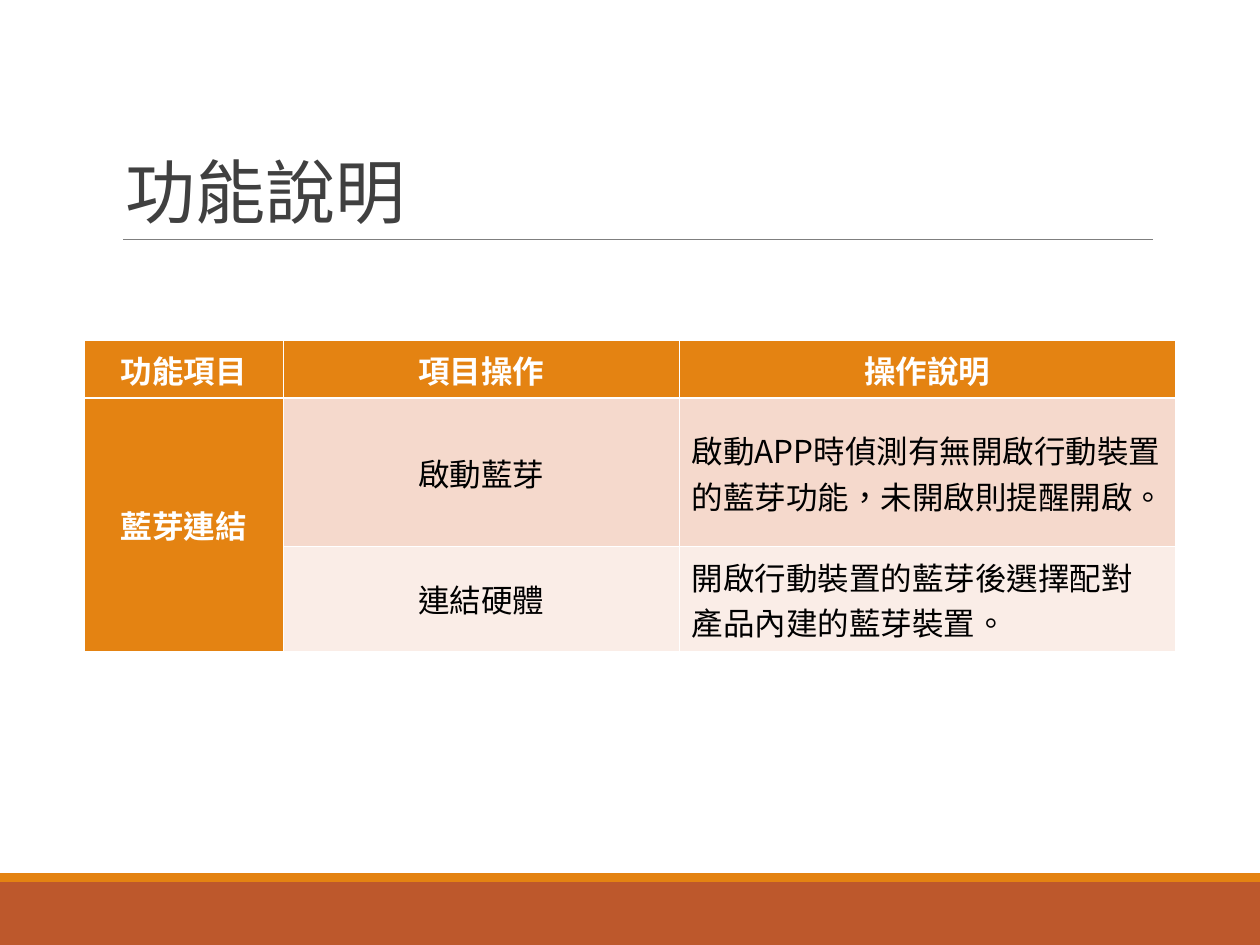
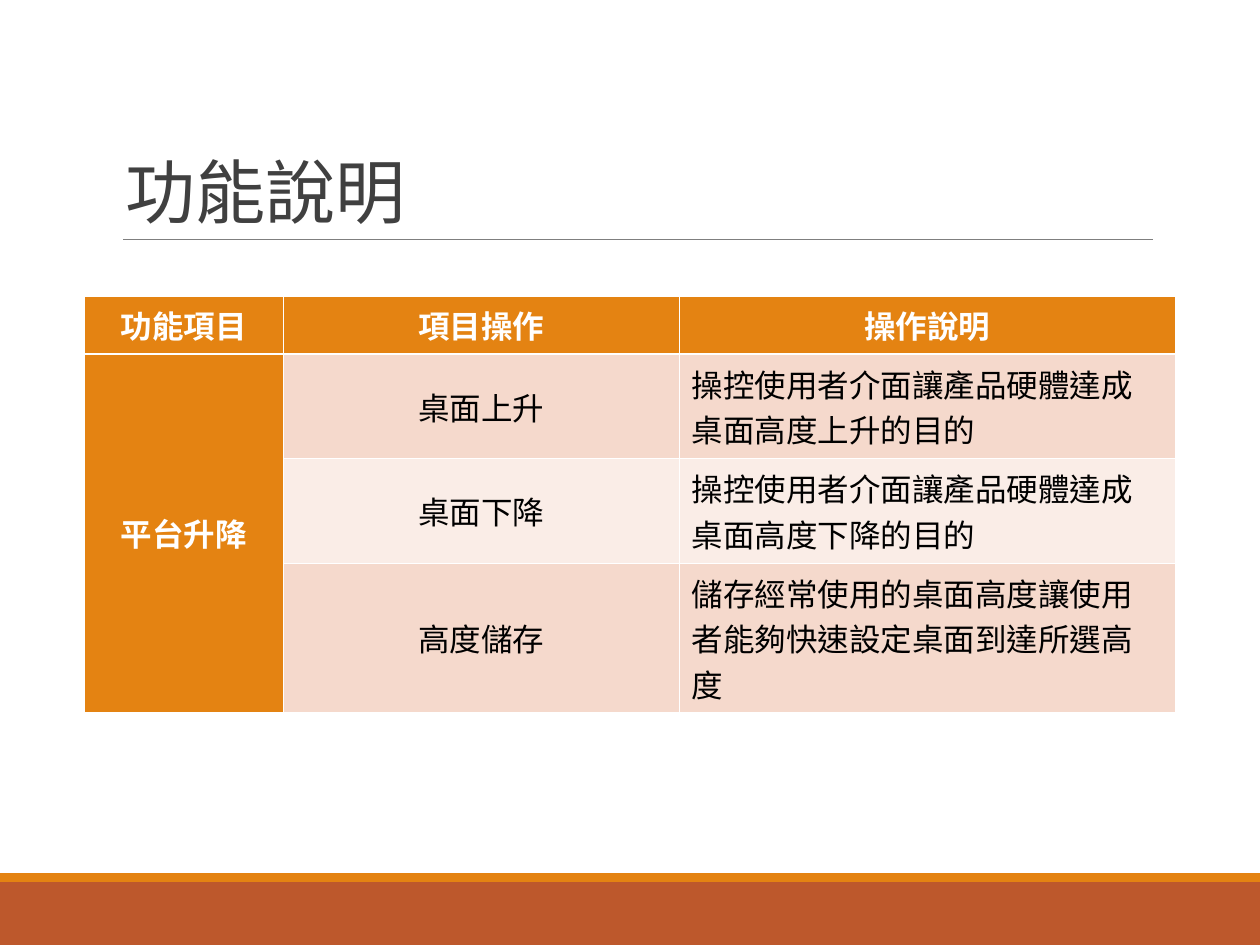
from dataclasses import dataclass

from lxml import etree
from pptx import Presentation
from pptx.dml.color import RGBColor
from pptx.enum.shapes import MSO_CONNECTOR, MSO_SHAPE
from pptx.enum.text import MSO_ANCHOR, PP_ALIGN
from pptx.oxml.ns import qn
from pptx.slide import Slide
from pptx.table import _Cell
from pptx.text.text import _Run
from pptx.util import Inches, Pt

RECTANGLE = MSO_SHAPE.RECTANGLE
STRAIGHT = MSO_CONNECTOR.STRAIGHT
MIDDLE, BOTTOM = MSO_ANCHOR.MIDDLE, MSO_ANCHOR.BOTTOM
LEFT, CENTER = PP_ALIGN.LEFT, PP_ALIGN.CENTER

WHITE = RGBColor(0xFF, 0xFF, 0xFF)
BLACK = RGBColor(0x00, 0x00, 0x00)
TITLE_GRAY = RGBColor(0x40, 0x40, 0x40)
RULE_GRAY = RGBColor(0x7F, 0x7F, 0x7F)
ORANGE = RGBColor(0xE4, 0x83, 0x12)
RUST = RGBColor(0xBD, 0x58, 0x2C)
DARK_BAND = RGBColor(0xF5, 0xD9, 0xCC)
LIGHT_BAND = RGBColor(0xFA, 0xED, 0xE7)

TITLE_FONT = "Calibri"
CHINESE_FONT = "Noto Sans CJK SC"
TITLE = "功能說明"
HEADINGS = ("功能項目", "項目操作", "操作說明")
COLUMN_WIDTHS = (1.58, 3.14, 3.94)
HEADER_HEIGHT, TWO_LINES, THREE_LINES = 0.46, 0.83, 1.18
THIN, THICK = Pt(0.45), Pt(1.47)


@dataclass(frozen=True)
class Band:
    top: float
    height: float
    color: RGBColor


@dataclass(frozen=True)
class Operation:
    name: str
    description: str
    height: float


@dataclass(frozen=True)
class Feature:
    name: str
    table_top: float
    operations: tuple[Operation, ...]


BANDS = (Band(7, 0.5, RUST), Band(6.93, 0.07, ORANGE))

FEATURES = (
    Feature("藍芽連結", 2.7, (
        Operation("啟動藍芽", "啟動APP時偵測有無開啟行動裝置的藍芽功能，未開啟則提醒開啟。", THREE_LINES),
        Operation("連結硬體", "開啟行動裝置的藍芽後選擇配對產品內建的藍芽裝置。", TWO_LINES),
    )),
    Feature("平台升降", 2.35, (
        Operation("桌面上升", "操控使用者介面讓產品硬體達成桌面高度上升的目的", TWO_LINES),
        Operation("桌面下降", "操控使用者介面讓產品硬體達成桌面高度下降的目的", TWO_LINES),
        Operation("高度儲存", "儲存經常使用的桌面高度讓使用者能夠快速設定桌面到達所選高度", THREE_LINES),
    )),
)


def format_span(span: _Run, latin: str, size: float, color: RGBColor, bold: bool = False) -> None:
    span.font.name = latin
    span.font.size = Pt(size)
    span.font.bold = bold
    span.font.color.rgb = color
    properties = span.font._element
    properties.set("lang", "zh-TW")
    east_asian = etree.Element(qn("a:ea"), typeface=CHINESE_FONT)
    properties.find(qn("a:latin")).addnext(east_asian)


def draw_frame(page: Slide) -> None:
    for band in BANDS:
        bar = page.shapes.add_shape(
            RECTANGLE, 0, Inches(band.top), Inches(10), Inches(band.height))
        bar.shadow.inherit = False
        bar.fill.solid()
        bar.fill.fore_color.rgb = band.color
        bar.line.fill.background()
    rule = page.shapes.add_connector(
        STRAIGHT, Inches(0.98), Inches(1.9), Inches(9.15), Inches(1.9))
    rule.line.color.rgb = RULE_GRAY
    rule.line.width = Pt(0.5)
    etree.SubElement(rule._element.spPr, qn("a:effectLst"))


def draw_title(page: Slide) -> None:
    box = page.shapes.add_textbox(Inches(0.9), Inches(0.31), Inches(8.25), Inches(1.59))
    frame = box.text_frame
    frame.text = TITLE
    frame.word_wrap = True
    frame.vertical_anchor = BOTTOM
    para = frame.paragraphs[0]
    para.line_spacing = 0.85
    format_span(para.runs[0], TITLE_FONT, 40, TITLE_GRAY)


def set_borders(cell: _Cell, top: int, bottom: int) -> None:
    properties = cell._tc.get_or_add_tcPr()
    for side, width in (("lnL", THIN), ("lnR", THIN), ("lnT", top), ("lnB", bottom)):
        border = etree.SubElement(properties, qn(f"a:{side}"), w=str(width))
        fill = etree.SubElement(border, qn("a:solidFill"))
        etree.SubElement(fill, qn("a:srgbClr"), val=str(WHITE))


def style_cell(cell: _Cell, row: int, column: int) -> None:
    emphasized = row == 0 or column == 0
    set_borders(cell, THICK if row == 1 else THIN, THICK if row == 0 else THIN)
    cell.fill.solid()
    cell.fill.fore_color.rgb = ORANGE if emphasized else DARK_BAND if row % 2 else LIGHT_BAND
    cell.vertical_anchor = MIDDLE
    for para in cell.text_frame.paragraphs:
        para.alignment = LEFT if column == 2 and row else CENTER
        for span in para.runs:
            format_span(span, CHINESE_FONT, 18, WHITE if emphasized else BLACK, emphasized)


def draw_table(page: Slide, feature: Feature) -> None:
    heights = [HEADER_HEIGHT] + [operation.height for operation in feature.operations]
    table = page.shapes.add_table(
        len(heights), len(COLUMN_WIDTHS), Inches(0.67), Inches(feature.table_top),
        Inches(sum(COLUMN_WIDTHS)), Inches(sum(heights))).table
    for column, width in zip(table.columns, COLUMN_WIDTHS):
        column.width = Inches(width)
    for row, height in zip(table.rows, heights):
        row.height = Inches(height)
    table.cell(1, 0).merge(table.cell(len(heights) - 1, 0))

    contents = [HEADINGS]
    for index, operation in enumerate(feature.operations):
        label = feature.name if index == 0 else ""
        contents.append((label, operation.name, operation.description))
    for row, texts in enumerate(contents):
        for column, text in enumerate(texts):
            cell = table.cell(row, column)
            cell.text_frame.text = text
            style_cell(cell, row, column)


def main() -> None:
    deck = Presentation()
    deck.slide_width = Inches(10)
    deck.slide_height = Inches(7.5)
    for feature in FEATURES:
        page = deck.slides.add_slide(deck.slide_layouts[6])
        draw_frame(page)
        draw_title(page)
        draw_table(page, feature)
    deck.save("out.pptx")


if __name__ == "__main__":
    main()
